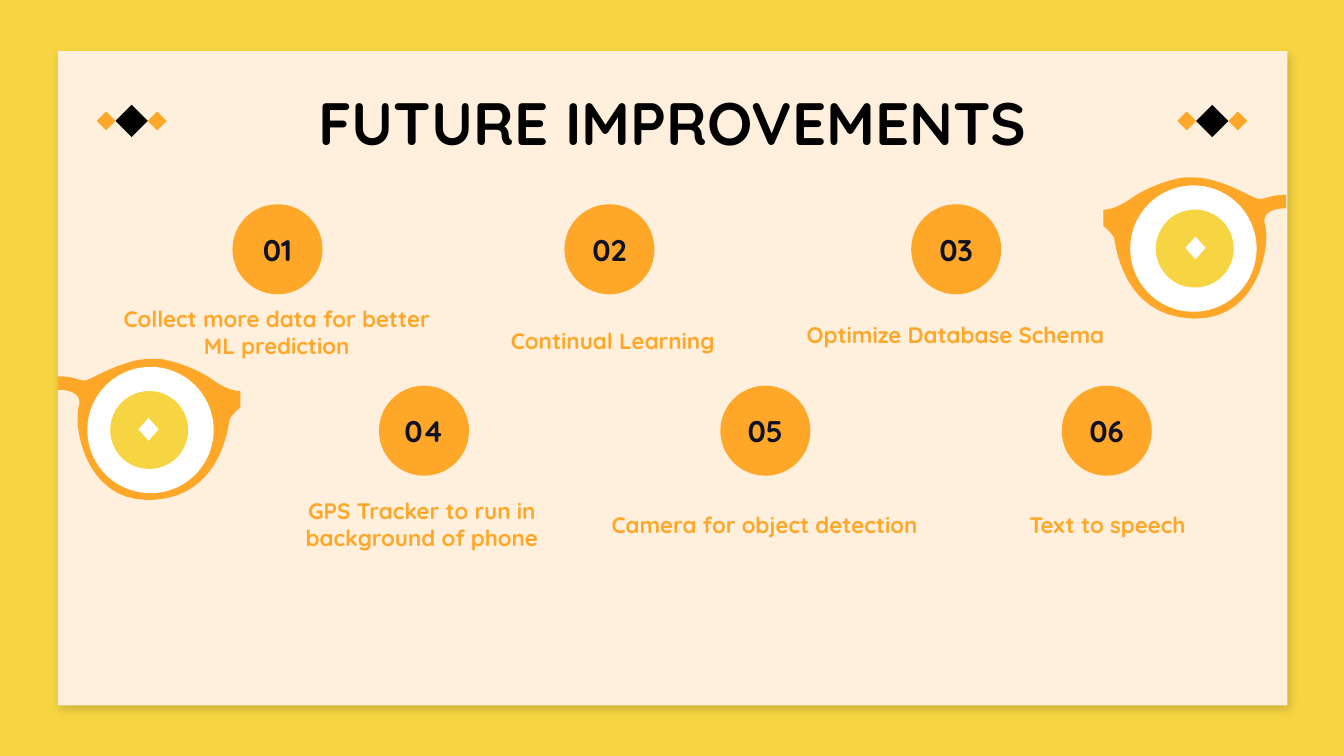
from dataclasses import dataclass

from lxml import etree
from pptx import Presentation
from pptx.dml.color import RGBColor
from pptx.enum.shapes import MSO_SHAPE
from pptx.enum.text import MSO_ANCHOR, MSO_AUTO_SIZE, PP_ALIGN
from pptx.oxml.ns import qn
from pptx.util import Inches, Pt

RECTANGLE, OVAL, DIAMOND = MSO_SHAPE.RECTANGLE, MSO_SHAPE.OVAL, MSO_SHAPE.DIAMOND
MIDDLE, CENTER, NO_FIT = MSO_ANCHOR.MIDDLE, PP_ALIGN.CENTER, MSO_AUTO_SIZE.NONE


@dataclass(frozen=True)
class Theme:
    yellow: str = "F6D442"
    cream: str = "FFEFDD"
    orange: str = "FFA728"
    white: str = "FFFFFF"
    black: str = "010101"
    ink: str = "101122"
    font: str = "Quicksand"
    title_size: int = 32
    number_size: int = 16
    caption_size: int = 12


THEME = Theme()
SLIDE_WIDTH = 10
SLIDE_HEIGHT = SLIDE_WIDTH * 9 / 16
BADGE_SIZE = 0.67
CAPTION_WIDTH, CAPTION_HEIGHT = 2.54, 0.58
LENS_SIZE, IRIS_SIZE = 0.94, 0.58
GLINT_WIDTH, GLINT_HEIGHT = 0.15, 0.17

# number, caption, badge left, badge top, caption left, caption top
IMPROVEMENTS = [
    ("01", "Collect more data for better ML prediction", 1.73, 1.52, 0.79, 2.18),
    ("02", "Continual Learning", 4.2, 1.52, 3.29, 2.24),
    ("03", "Optimize Database Schema", 6.78, 1.52, 5.84, 2.2),
    ("04", "GPS Tracker to run in background of phone", 2.82, 2.87, 1.87, 3.61),
    ("05", "Camera for object detection", 5.36, 2.87, 4.42, 3.61),
    ("06", "Text to speech", 7.9, 2.87, 6.97, 3.61),
]

# Right-hand frame: each segment is an end point or two controls and an end point.
FRAME_START = (8.86, 1.32)
FRAME_SEGMENTS = [
    [(8.83, 1.32), (8.79, 1.32), (8.76, 1.33)],
    [(8.76, 1.33), (8.6, 1.36), (8.44, 1.46)],
    [(8.41, 1.48), (8.31, 1.56), (8.21, 1.56)],
    [(8.21, 1.68)],
    [(8.21, 1.68), (8.28, 1.74), (8.29, 1.77)],
    [(8.3, 1.81), (8.35, 2.35), (8.87, 2.37)],
    [(8.88, 2.37), (8.89, 2.37), (8.9, 2.37)],
    [(9.38, 2.37), (9.46, 1.79), (9.41, 1.66)],
    [(9.41, 1.66), (9.38, 1.55), (9.57, 1.55)],
    [(9.57, 1.45)],
    [(9.45, 1.45), (9.42, 1.48), (9.38, 1.48)],
    [(9.37, 1.48), (9.36, 1.48), (9.36, 1.48)],
    [(9.3, 1.46), (9.17, 1.38), (9.05, 1.35)],
    [(9, 1.33), (8.93, 1.32), (8.86, 1.32)],
]


def color(value):
    return RGBColor.from_string(value)


def paint(shape, fill):
    shape.shadow.inherit = False
    shape.fill.solid()
    shape.fill.fore_color.rgb = color(fill)
    shape.line.fill.background()
    return shape


def add_figure(shapes, kind, left, top, width, height, fill):
    box = [Inches(length) for length in (left, top, width, height)]
    return paint(shapes.add_shape(kind, *box), fill)


def write(shape, text, size, text_color, inset=0.1):
    frame = shape.text_frame
    frame.word_wrap = True
    frame.auto_size = NO_FIT
    frame.vertical_anchor = MIDDLE
    frame.margin_left = frame.margin_right = Inches(inset)
    frame.margin_top = frame.margin_bottom = Inches(inset)
    paragraph = frame.paragraphs[0]
    paragraph.alignment = CENTER
    run = paragraph.add_run()
    run.text = text
    run.font.name = THEME.font
    run.font.size = Pt(size)
    run.font.bold = True
    run.font.color.rgb = color(text_color)


def add_panel(slide):
    panel = add_figure(slide.shapes, RECTANGLE, 0.43, 0.38, 9.15, 4.87, THEME.cream)
    effects = panel._element.spPr.find(qn("a:effectLst"))
    shadow = etree.SubElement(
        effects, qn("a:outerShdw"), blurRad=str(Pt(4.5)), dist=str(Pt(3)),
        dir=str(64 * 60000), algn="bl", rotWithShape="0")
    shade = etree.SubElement(shadow, qn("a:srgbClr"), val="000000")
    etree.SubElement(shade, qn("a:alpha"), val="14000")


def place_title(slide, text):
    title = slide.shapes.title
    title.left, title.top = Inches(0.79), Inches(0.59)
    title.width, title.height = Inches(8.43), Inches(0.63)
    write(title, text, THEME.title_size, THEME.black)
    slide.shapes._spTree.append(title._element)  # in front of the panel


def add_improvement(slide, number, caption, left, top, caption_left, caption_top):
    badge = add_figure(slide.shapes, OVAL, left, top, BADGE_SIZE, BADGE_SIZE, THEME.orange)
    write(badge, number, THEME.number_size, THEME.ink, inset=0)
    label = slide.shapes.add_textbox(
        Inches(caption_left), Inches(caption_top),
        Inches(CAPTION_WIDTH), Inches(CAPTION_HEIGHT))
    write(label, caption, THEME.caption_size, THEME.orange)


def add_ornament(slide, left):
    """A black diamond between two small orange ones."""
    shapes = slide.shapes.add_group_shape().shapes
    for offset, top, size, fill in [(0.14, 0.78, 0.24, THEME.black),
                                    (0.38, 0.83, 0.14, THEME.orange),
                                    (0, 0.83, 0.14, THEME.orange)]:
        add_figure(shapes, DIAMOND, left + offset, top, size, size, fill)


def outline_points(start, segments, steps=16):
    """Turn lines and cubic curves into a list of points."""
    points = [start]
    for segment in segments:
        if len(segment) == 1:
            points += segment
            continue
        corners = [points[-1], *segment]
        for step in range(1, steps + 1):
            t = step / steps
            weights = ((1 - t) ** 3, 3 * t * (1 - t) ** 2, 3 * t * t * (1 - t), t ** 3)
            points.append(tuple(
                sum(w * corner[axis] for w, corner in zip(weights, corners))
                for axis in (0, 1)))
    return points


def add_eyeglass(slide, mirrored=False, drop=0):
    """One half of a pair of glasses, mirrored about the slide's middle if asked."""
    shapes = slide.shapes.add_group_shape().shapes
    points = [(Inches(SLIDE_WIDTH - x if mirrored else x), Inches(y + drop))
              for x, y in outline_points(FRAME_START, FRAME_SEGMENTS)]
    builder = shapes.build_freeform(*points[0])
    builder.add_line_segments(points[1:], close=True)
    paint(builder.convert_to_shape(), THEME.orange)
    for kind, left, top, width, height, fill in [
            (OVAL, 8.41, 1.38, LENS_SIZE, LENS_SIZE, THEME.white),
            (OVAL, 8.6, 1.56, IRIS_SIZE, IRIS_SIZE, THEME.yellow),
            (DIAMOND, 8.82, 1.76, GLINT_WIDTH, GLINT_HEIGHT, THEME.white)]:
        if mirrored:
            left = SLIDE_WIDTH - left - width
        add_figure(shapes, kind, left, top + drop, width, height, fill)


def main():
    deck = Presentation()
    deck.slide_width, deck.slide_height = Inches(SLIDE_WIDTH), Inches(SLIDE_HEIGHT)
    slide = deck.slides.add_slide(deck.slide_layouts.get_by_name("Title Only"))
    slide.background.fill.solid()
    slide.background.fill.fore_color.rgb = color(THEME.yellow)
    add_panel(slide)
    place_title(slide, "FUTURE IMPROVEMENTS")
    for improvement in IMPROVEMENTS:
        add_improvement(slide, *improvement)
    for left in (0.72, 8.76):
        add_ornament(slide, left)
    add_eyeglass(slide)
    add_eyeglass(slide, mirrored=True, drop=1.35)
    deck.save("out.pptx")


if __name__ == "__main__":
    main()
